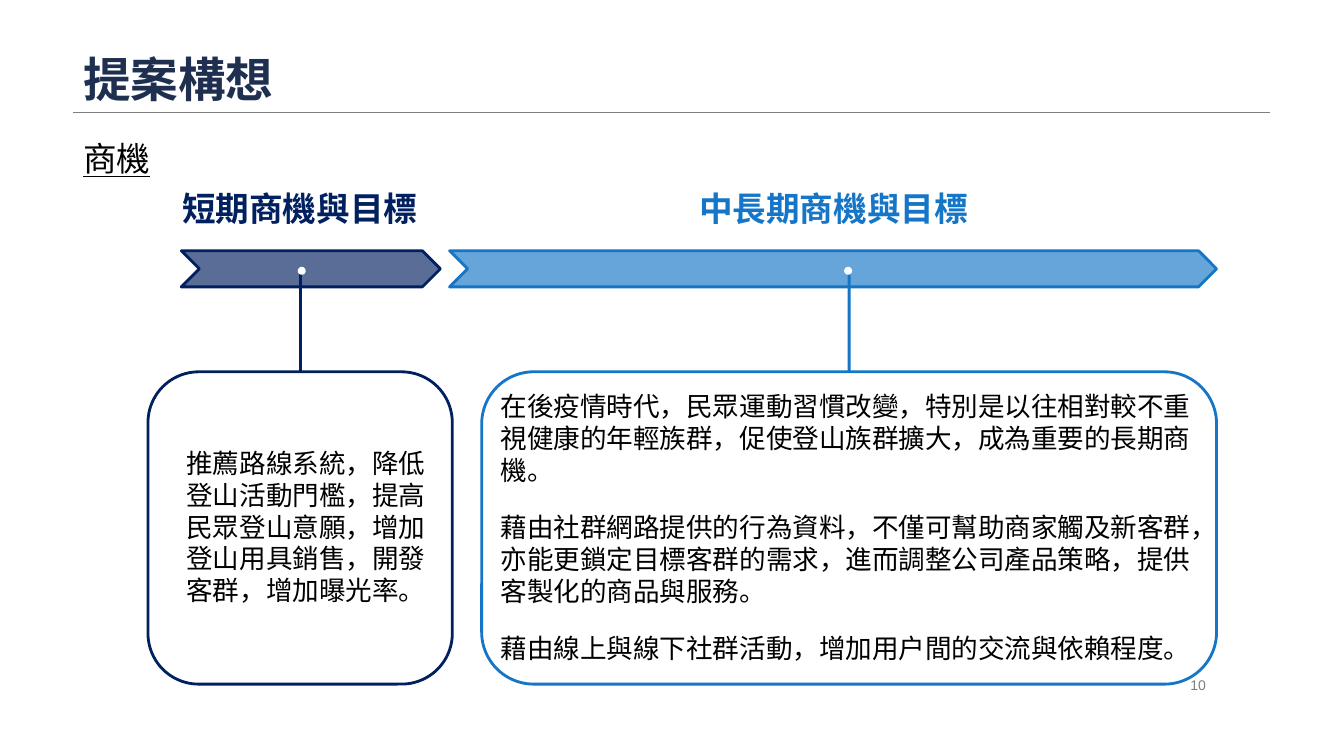
from lxml import etree
from pptx import Presentation
from pptx.dml.color import RGBColor
from pptx.enum.shapes import MSO_CONNECTOR, MSO_SHAPE
from pptx.enum.text import MSO_ANCHOR, PP_ALIGN
from pptx.oxml.ns import qn
from pptx.util import Cm, Pt

STRAIGHT = MSO_CONNECTOR.STRAIGHT
CHEVRON = MSO_SHAPE.CHEVRON
ROUNDED = MSO_SHAPE.ROUNDED_RECTANGLE
DOT = MSO_SHAPE.FLOWCHART_CONNECTOR
TOP, MIDDLE, BOTTOM = MSO_ANCHOR.TOP, MSO_ANCHOR.MIDDLE, MSO_ANCHOR.BOTTOM
LEFT, RIGHT = PP_ALIGN.LEFT, PP_ALIGN.RIGHT

COLORS = {
    "title": "1F2F50",
    "gray": "7F7F7F",
    "black": "000000",
    "white": "FFFFFF",
    "navy": "002060",
    "blue": "1575C6",
}
LATIN = "Arial"
CHINESE = "Noto Sans CJK TC"

BAR_TOP, BAR_HEIGHT = 6.32, 0.91
BOX_TOP, BOX_HEIGHT = 9.37, 7.87
DOT_TOP, DOT_SIZE = 6.76, 0.13

# Horizontal extents are (left, width) in centimetres.
PERIODS = [
    {
        "color": "navy",
        "heading": [("短期", LATIN), ("商機與目標", CHINESE)],
        "heading_span": (4.34, 7.44),
        "bar": (4.57, 6.53),
        "box": (3.73, 7.67),
        "dot": 7.54,
        "body_area": (4.45, 11.13, 6.65, 4.32),
        "indent": 0,
        "body": ["推薦路線系統，降低登山活動門檻，提高民眾登山意願，增加登山用具銷售，開發客群，增加曝光率。"],
    },
    {
        "color": "blue",
        "heading": [("中長期商機與目標", CHINESE)],
        "heading_span": (17.37, 8.05),
        "bar": (11.33, 19.33),
        "box": (12.14, 18.52),
        "dot": 21.31,
        "body_area": (11.1, 9.7, 19.61, 7.21),
        "indent": 1.27,
        "body": [
            "在後疫情時代，民眾運動習慣改變，特別是以往相對較不重視健康的年輕族群，促使登山族群擴大，成為重要的長期商機。",
            "藉由社群網路提供的行為資料，不僅可幫助商家觸及新客群，亦能更鎖定目標客群的需求，進而調整公司產品策略，提供客製化的商品與服務。",
            "藉由線上與線下社群活動，增加用戶間的交流與依賴程度。",
        ],
    },
]


class SlideBuilder:
    def __init__(self, deck):
        self.page = deck.slides.add_slide(deck.slide_layouts[6])

    def color(self, name):
        return RGBColor.from_string(COLORS[name])

    def text(self, area, paragraphs, size, color, bold=False, underline=False,
             anchor=TOP, align=LEFT, indent=0, gap=0, line_spacing=None):
        """Add a text box; each paragraph is a list of (text, font) runs."""
        frame = self.page.shapes.add_textbox(*map(Cm, area)).text_frame
        frame.word_wrap = True
        frame.vertical_anchor = anchor
        for index, runs in enumerate(paragraphs):
            para = frame.add_paragraph() if index else frame.paragraphs[0]
            para.alignment = align
            if indent:
                para._p.get_or_add_pPr().set("marL", str(Cm(indent)))
            if index:
                para.space_before = Pt(gap)
            if line_spacing:
                para.line_spacing = line_spacing
            for content, font_name in runs:
                span = para.add_run()
                span.text = content
                span.font.name = font_name
                span.font.size = Pt(size)
                span.font.bold = bold
                span.font.underline = underline
                span.font.color.rgb = self.color(color)
                east_asian = etree.SubElement(span.font._element, qn("a:ea"))
                east_asian.set("typeface", CHINESE)

    def shape(self, kind, area, line, fill=None, opacity=100):
        shape = self.page.shapes.add_shape(kind, *map(Cm, area))
        shape.shadow.inherit = False
        shape.line.color.rgb = self.color(line)
        shape.line.width = Pt(2)
        if fill is None:
            shape.fill.background()
            return shape
        shape.fill.solid()
        shape.fill.fore_color.rgb = self.color(fill)
        if opacity < 100:
            solid = shape._element.spPr.find(qn("a:solidFill"))
            alpha = etree.SubElement(solid[0], qn("a:alpha"))
            alpha.set("val", str(opacity * 1000))
        return shape

    def line(self, start, end, color, width, target=None):
        """Draw a line, joined to the top of target when one is given."""
        line = self.page.shapes.add_connector(STRAIGHT, *map(Cm, start + end))
        line.line.color.rgb = self.color(color)
        line.line.width = Pt(width)
        etree.SubElement(line._element.spPr, qn("a:effectLst"))
        if target is not None:
            line.end_connect(target, 0)

    def period(self, period):
        """Draw a heading, its timeline bar and the box hanging from it."""
        color = period["color"]
        heading_left, heading_width = period["heading_span"]
        bar_left, bar_width = period["bar"]
        box_left, box_width = period["box"]
        center = box_left + box_width / 2

        self.text((heading_left, 4.6, heading_width, 1.4), [period["heading"]],
                  24, color, bold=True)
        self.shape(CHEVRON, (bar_left, BAR_TOP, bar_width, BAR_HEIGHT),
                   color, color, opacity=65)
        box = self.shape(ROUNDED, (box_left, BOX_TOP, box_width, BOX_HEIGHT), color)
        self.line((center, 6.78), (center, BOX_TOP), color, 2.25, box)
        self.shape(DOT, (period["dot"], DOT_TOP, DOT_SIZE, DOT_SIZE), "white", "white")
        self.text(period["body_area"], [[(content, CHINESE)] for content in period["body"]],
                  19, "black", indent=period["indent"], gap=18)


def main():
    deck = Presentation()
    deck.slide_width, deck.slide_height = Cm(33.87), Cm(19.05)
    builder = SlideBuilder(deck)
    builder.line((1.85, 2.84), (32, 2.84), "gray", 0.75)
    builder.text((1.85, 0, 30.15, 2.84), [[("提案構想", CHINESE)]], 34, "title",
                 bold=True, anchor=BOTTOM, line_spacing=0.9)
    builder.text((22.56, 16.97, 8.08, 0.58), [[("10", LATIN)]], 10, "gray",
                 anchor=MIDDLE, align=RIGHT)
    builder.text((1.85, 3.35, 30.15, 15.29), [[("商機", LATIN)]], 24, "black",
                 underline=True)
    for period in PERIODS:
        builder.period(period)
    deck.save("out.pptx")


if __name__ == "__main__":
    main()
